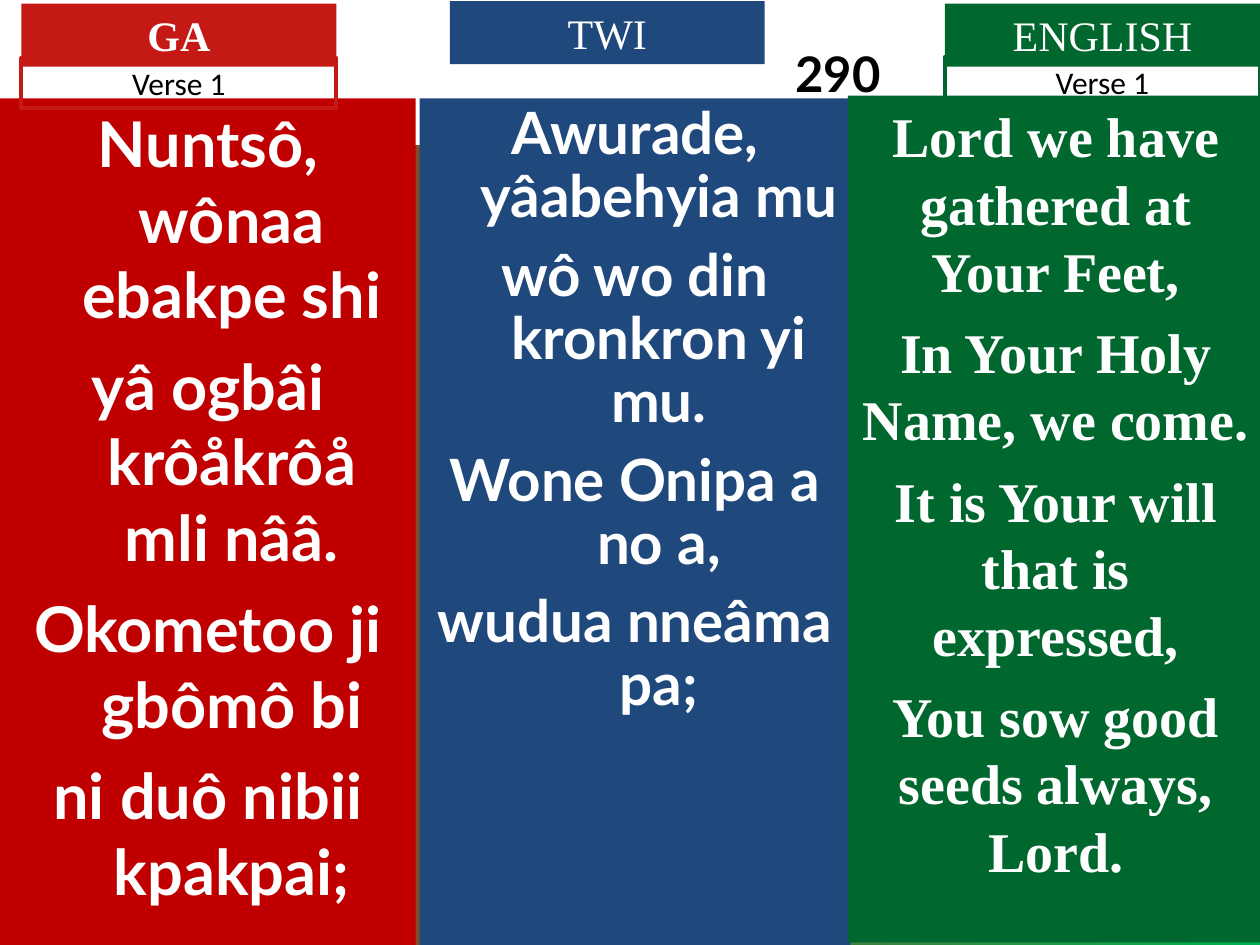
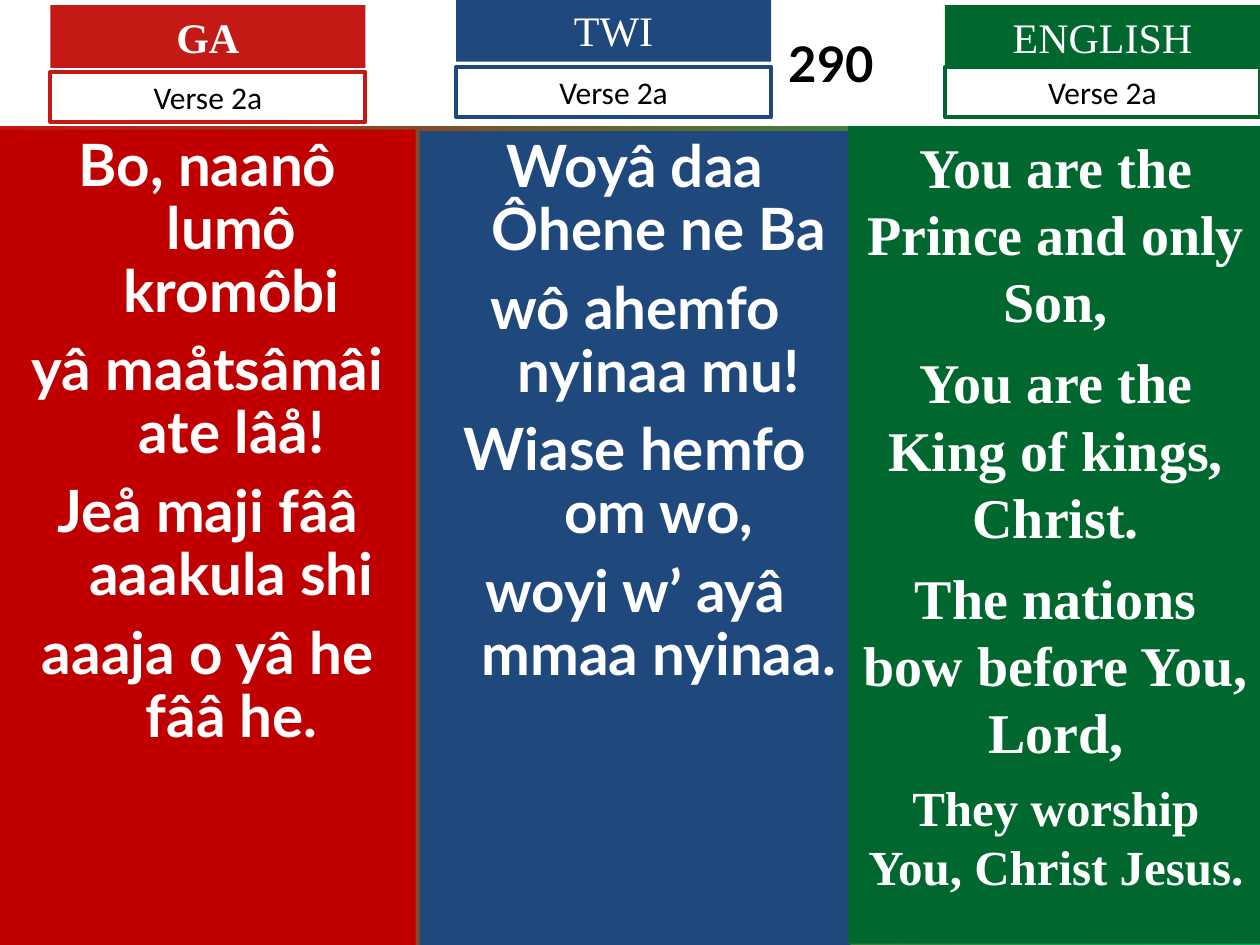
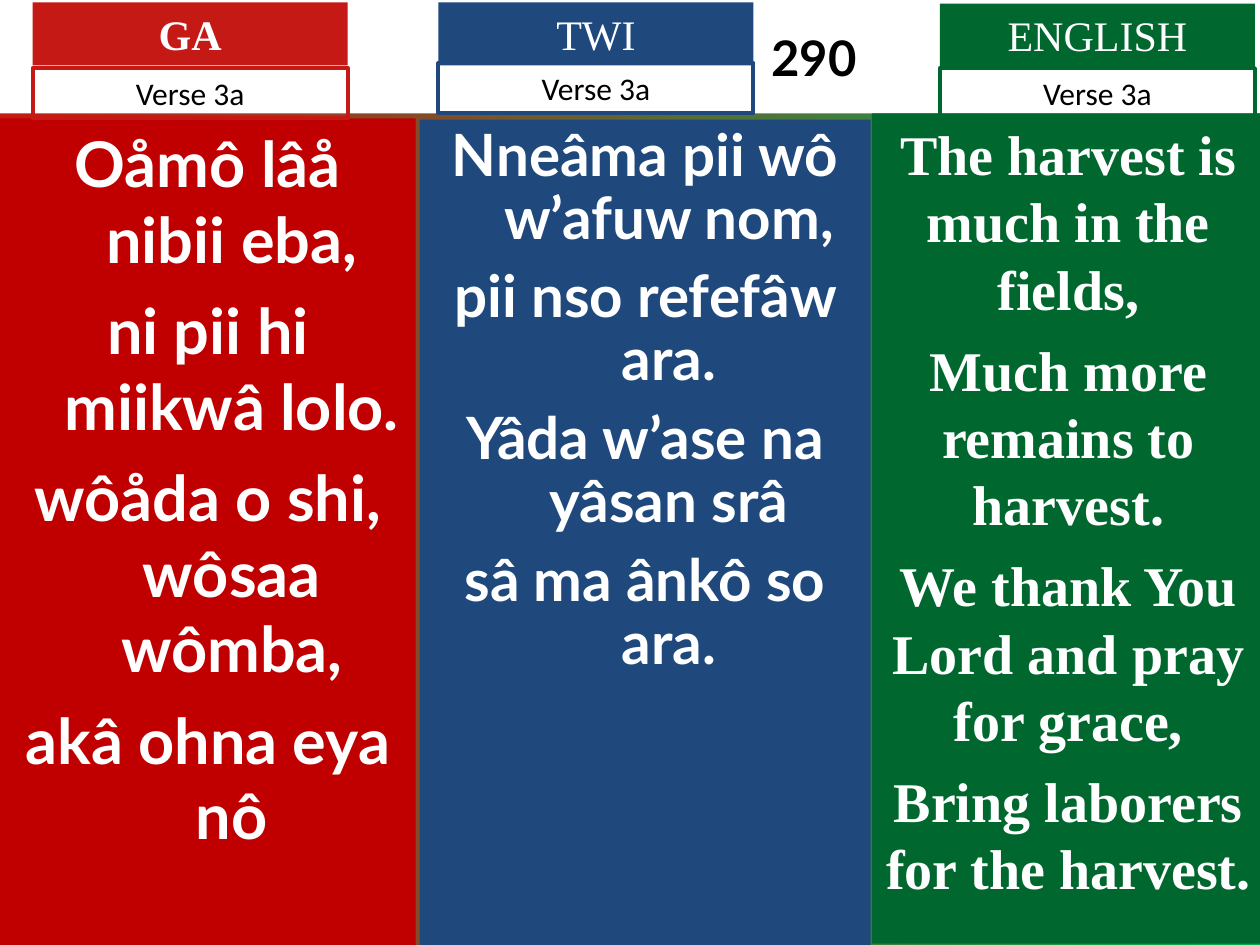
from dataclasses import dataclass

from pptx import Presentation
from pptx.dml.color import RGBColor as Rgb
from pptx.enum.shapes import MSO_SHAPE as Preset
from pptx.enum.text import MSO_ANCHOR as Anchor, MSO_AUTO_SIZE as AutoSize, PP_ALIGN as Align
from pptx.util import Inches, Pt


@dataclass(frozen=True)
class Theme:
    white: str = "FFFFFF"
    black: str = "000000"
    red: str = "C51915"
    deep_red: str = "C00000"
    blue: str = "1F497D"
    green: str = "00682F"
    glow: str = "00B050"
    sans: str = "Lato"
    serif: str = "Times New Roman"
    plain: str = "Calibri"
    number_size: float = 28
    label_size: float = 24
    verse_size: float = 18
    border: float = 2.25


THEME = Theme()
LABEL_SIZE = (2.5, 0.5)
VERSE_SIZE = (2.5, 0.4)
HANGING = 0.38


@dataclass(frozen=True)
class LyricStyle:
    font: str
    size: float
    before: float
    spacing: float = 1.0
    hanging: float = 0


ROOMY = LyricStyle(THEME.sans, 36, 9, hanging=HANGING)
TIGHT = LyricStyle(THEME.sans, 33.3, 9, 0.9, HANGING)
SERIF = LyricStyle(THEME.serif, 32, 8)
SERIF_SMALL = LyricStyle(THEME.serif, 28, 7)


@dataclass(frozen=True)
class Language:
    name: str
    column_color: str
    label_color: str
    label_bold: bool = False


GA = Language("GA", THEME.deep_red, THEME.red, True)
TWI = Language("TWI", THEME.blue, THEME.blue)
ENGLISH = Language("ENGLISH", THEME.green, THEME.green)


@dataclass(frozen=True)
class Translation:
    language: Language
    column: tuple
    label: tuple
    verse_top: float | None
    style: LyricStyle
    lyrics: tuple
    closing: LyricStyle | None = None


@dataclass(frozen=True)
class Verse:
    title: str
    band_height: float
    number_inset: float
    translations: tuple


HYMN_NUMBER = "290"
VERSES = (
    Verse("Verse 1", 1.15, 3.3, (
        Translation(GA, (0, 0.78, 3.3, 6.72), (0.17, 0.03), 0.46, ROOMY, (
            "Nuntsô, wônaa ebakpe shi",
            "yâ ogbâi krôåkrôå mli nââ.",
            "Okometoo ji gbômô bi",
            "ni duô nibii kpakpai;")),
        Translation(TWI, (3.33, 0.78, 3.42, 6.72), (3.57, 0.01), None, TIGHT, (
            "Awurade, yâabehyia mu",
            "wô wo din kronkron yi mu.",
            "Wone Onipa a no a,",
            "wudua nneâma pa;")),
        Translation(ENGLISH, (6.73, 0.76, 3.3, 6.72), (7.5, 0.03), 0.45, SERIF, (
            "Lord we have gathered at Your Feet,",
            "In Your Holy Name, we come.",
            "It is Your will that is expressed,",
            "You sow good seeds always, Lord.")),
    )),
    Verse("Verse 2a", 1, 3.2, (
        Translation(GA, (0, 1.03, 3.3, 6.47), (0.4, 0.04), 0.57, TIGHT, (
            "Bo, naanô lumô kromôbi",
            "yâ maåtsâmâi ate lâå!",
            "Jeå maji fââ aaakula shi",
            "aaaja o yâ he fââ he.")),
        Translation(TWI, (3.33, 1.04, 3.42, 6.46), (3.62, -0.01), 0.53, TIGHT, (
            "Woyâ daa Ôhene ne Ba",
            "wô ahemfo nyinaa mu!",
            "Wiase hemfo om wo,",
            "woyi w’ ayâ mmaa nyinaa.")),
        Translation(ENGLISH, (6.73, 1, 3.3, 6.49), (7.5, 0.04), 0.53, SERIF, (
            "You are the Prince and only Son,",
            "You are the King of kings, Christ.",
            "The nations bow before You, Lord,",
            "They worship You, Christ Jesus."), SERIF_SMALL),
    )),
    Verse("Verse 3a", 0.9, 2.92, (
        Translation(GA, (0, 0.94, 3.3, 6.56), (0.26, 0.02), 0.54, ROOMY, (
            "Oåmô lâå nibii eba,",
            "ni pii hi miikwâ lolo.",
            "wôåda o shi, wôsaa wômba,",
            "akâ ohna eya nô")),
        Translation(TWI, (3.33, 0.95, 3.58, 6.55), (3.48, 0.02), 0.5, TIGHT, (
            "Nneâma pii wô w’afuw nom,",
            "pii nso refefâw ara.",
            "Yâda w’ase na yâsan srâ",
            "sâ ma ânkô so ara.")),
        Translation(ENGLISH, (6.92, 0.9, 3.12, 6.59), (7.46, 0.03), 0.54, SERIF, (
            "The harvest is much in the fields,",
            "Much more remains to harvest.",
            "We thank You Lord and pray for grace,",
            "Bring laborers for the harvest.")),
    )),
)


def apply_format(target, values):
    for attribute, value in values.items():
        setattr(target, attribute, value)


def write_line(paragraph, text, font, size, color, bold=False):
    paragraph.alignment = Align.CENTER
    run = paragraph.add_run()
    run.text = text
    apply_format(run.font, {"name": font, "size": Pt(size), "bold": bold})
    run.font.color.rgb = Rgb.from_string(color)


def add_panel(slide, box, fill=None, border=None, **frame_format):
    panel = slide.shapes.add_shape(Preset.RECTANGLE, *map(Inches, box))
    panel.shadow.inherit = False
    if fill:
        panel.fill.solid()
        panel.fill.fore_color.rgb = Rgb.from_string(fill)
    else:
        panel.fill.background()
    if border:
        panel.line.color.rgb = Rgb.from_string(border)
        panel.line.width = Pt(THEME.border)
    else:
        panel.line.fill.background()
    apply_format(panel.text_frame, {
        "word_wrap": True, "vertical_anchor": Anchor.TOP, **frame_format})
    return panel.text_frame


def add_backdrop(slide):
    fill = slide.background.fill
    fill.gradient()
    fill.gradient_angle = 0
    for stop, position, color in zip(fill.gradient_stops, (0, 1), (THEME.red, THEME.glow)):
        stop.position = position
        stop.color.rgb = Rgb.from_string(color)


def add_number_band(slide, verse):
    band = add_panel(slide, (0, 0, 10, verse.band_height), THEME.white,
                     vertical_anchor=Anchor.MIDDLE,
                     margin_left=Inches(verse.number_inset), margin_right=0)
    write_line(band.paragraphs[0], HYMN_NUMBER, THEME.sans, THEME.number_size,
               THEME.black, True)


def add_lyrics(slide, translation):
    column = add_panel(slide, translation.column, translation.language.column_color)
    last = len(translation.lyrics) - 1
    for index, lyric in enumerate(translation.lyrics):
        closing = translation.closing if index == last else None
        style = closing or translation.style
        paragraph = column.add_paragraph() if index else column.paragraphs[0]
        apply_format(paragraph, {
            "line_spacing": style.spacing,
            "space_before": Pt(style.before if index else 0)})
        if style.hanging:
            properties = paragraph._p.get_or_add_pPr()
            properties.set("marL", str(Inches(style.hanging)))
            properties.set("indent", str(-Inches(style.hanging)))
        write_line(paragraph, lyric, style.font, style.size, THEME.white, True)


def add_language_label(slide, translation):
    language = translation.language
    label = add_panel(slide, translation.label + LABEL_SIZE, language.label_color,
                      auto_size=AutoSize.SHAPE_TO_FIT_TEXT)
    write_line(label.paragraphs[0], language.name, THEME.serif, THEME.label_size,
               THEME.white, language.label_bold)


def add_verse_tag(slide, translation, title):
    tag = add_panel(slide, (translation.label[0], translation.verse_top) + VERSE_SIZE,
                    border=translation.language.label_color,
                    auto_size=AutoSize.SHAPE_TO_FIT_TEXT)
    write_line(tag.paragraphs[0], title, THEME.plain, THEME.verse_size, THEME.black)


def add_verse_slide(deck, verse):
    slide = deck.slides.add_slide(deck.slide_layouts[6])
    add_backdrop(slide)
    add_number_band(slide, verse)
    for translation in verse.translations:
        add_lyrics(slide, translation)
        add_language_label(slide, translation)
        if translation.verse_top is not None:
            add_verse_tag(slide, translation, verse.title)


def main():
    deck = Presentation()
    apply_format(deck, {"slide_width": Inches(10), "slide_height": Inches(7.5)})
    for verse in VERSES:
        add_verse_slide(deck, verse)
    deck.save("out.pptx")


if __name__ == "__main__":
    main()
